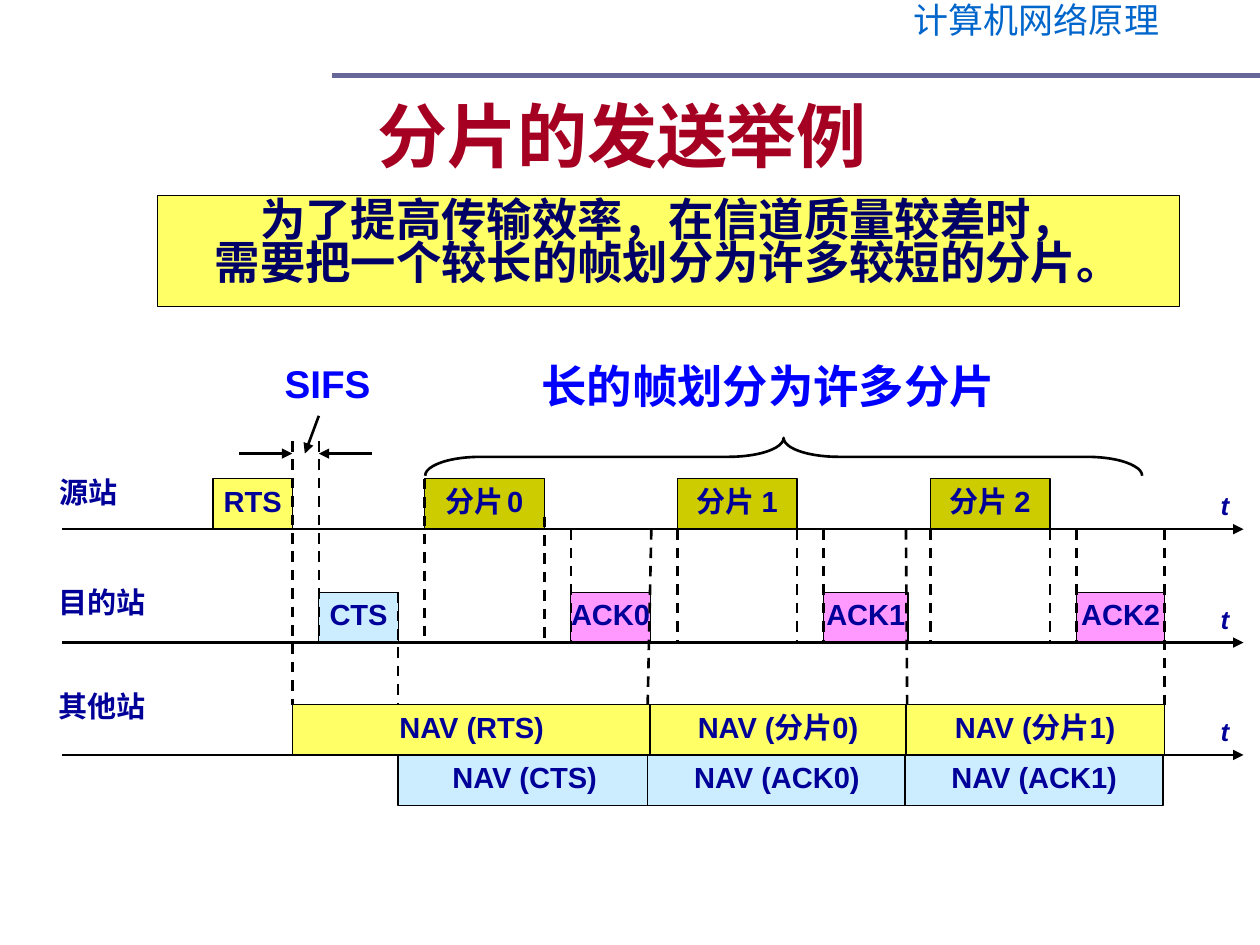
"""Build the slide on sending a long frame as fragments over a shared channel."""
from lxml import etree
from pptx import Presentation
from pptx.dml.color import RGBColor
from pptx.enum.dml import MSO_LINE
from pptx.enum.shapes import MSO_CONNECTOR, MSO_SHAPE
from pptx.enum.text import MSO_ANCHOR, MSO_AUTO_SIZE, PP_ALIGN
from pptx.oxml.ns import qn
from pptx.util import Pt

STRAIGHT = MSO_CONNECTOR.STRAIGHT
RECTANGLE, BRACE = MSO_SHAPE.RECTANGLE, MSO_SHAPE.RIGHT_BRACE
LEFT, CENTER = PP_ALIGN.LEFT, PP_ALIGN.CENTER
TOP, MIDDLE = MSO_ANCHOR.TOP, MSO_ANCHOR.MIDDLE
DASH = MSO_LINE.DASH

BLACK = RGBColor(0x00, 0x00, 0x00)
NAVY = RGBColor(0x00, 0x00, 0x99)
DEEP_NAVY = RGBColor(0x00, 0x00, 0x66)
BLUE = RGBColor(0x00, 0x00, 0xFF)
HEADER_BLUE = RGBColor(0x00, 0x66, 0xCC)
SLATE = RGBColor(0x66, 0x66, 0x99)
CRIMSON = RGBColor(0xA5, 0x00, 0x21)
YELLOW = RGBColor(0xFF, 0xFF, 0x66)
SKY = RGBColor(0xCC, 0xEC, 0xFF)
OLIVE = RGBColor(0xCC, 0xCC, 0x00)
PINK = RGBColor(0xFF, 0x99, 0xFF)

LATIN, CJK = "Arial", "Noto Sans CJK SC"
LABEL_SIZE = 16.6
BOX_HEIGHT = 28.8
SOURCE, DESTINATION, OTHERS = 302.4, 367.2, 431.4
NAV_TOP = OTHERS - BOX_HEIGHT
AXIS_START, AXIS_END = 35.3, 710.6
FRAGMENT_START, FRAGMENT_WIDTH, FRAGMENT_PITCH = 242.6, 68.4, 144.5
SIFS_GAP = 15.2

HEADER = "计算机网络原理"
TITLE = "分片的发送举例"
BANNER = ["为了提高传输效率，在信道质量较差时，", "需要把一个较长的帧划分为许多较短的分片。"]
STATIONS = [
    ("源站", 26.6, 271.4, 47.6, SOURCE),
    ("目的站", 25.9, 334.1, 64.8, DESTINATION),
    ("其他站", 25.9, 393.8, 64.8, OTHERS),
]
CAPTIONS = [
    ("SIFS", 155.5, 207.4, 63.4, 28.8, 22.1),
    ("长的帧划分为许多分片", 302.4, 207.4, 275, 32.4, 25.9),
]
HANDSHAKE = [
    ("RTS", 121.7, SOURCE, 45.4, YELLOW),
    ("CTS", 182.2, DESTINATION, 45.4, SKY),
]
FRAGMENTS = [
    ([("分片", LABEL_SIZE), (" ", 9.2), ("0", LABEL_SIZE)], "ACK0", 45.4),
    ([("分片 1", LABEL_SIZE)], "ACK1", 48.2),
    ([("分片 2", LABEL_SIZE)], "ACK2", 50.4),
]
RESERVATIONS = [
    ("NAV (RTS)", 167, 372, NAV_TOP, YELLOW),
    ("NAV (CTS)", 227.5, 372, OTHERS, SKY),
    ("NAV (分片0)", 371.5, 517.7, NAV_TOP, YELLOW),
    ("NAV (ACK0)", 370.1, 517.7, OTHERS, SKY),
    ("NAV (ACK1)", 517.2, 664.6, OTHERS, SKY),
    ("NAV (分片1)", 517.7, 665.3, NAV_TOP, YELLOW),
]
HANDSHAKE_GUIDES = [
    (167, 252, 167, 403),
    (182.2, 252, 182.2, DESTINATION),
    (227.5, 338.4, 227.5, 403),
]
ACK_END_GUIDES = [
    (372.2, SOURCE, 370.1, NAV_TOP),
    (517.7, SOURCE, 518.4, 409),
    (665.3, SOURCE, 665.3, NAV_TOP),
]
SIFS_ARROWS = [
    (136.8, 259.2, 167, 259.2),
    (212.4, 259.2, 182.2, 259.2),
    (182.2, 237.6, 174.2, 259.2),
]


def write(shape, paragraphs, color, align=CENTER, anchor=MIDDLE, bold=True,
          italic=False, wrap=False, spacing=0.8, latin=LATIN):
    frame = shape.text_frame
    frame.auto_size = MSO_AUTO_SIZE.NONE
    frame.word_wrap = wrap
    frame.vertical_anchor = anchor
    for index, runs in enumerate(paragraphs):
        paragraph = frame.add_paragraph() if index else frame.paragraphs[0]
        paragraph.alignment = align
        paragraph.line_spacing = spacing
        for text, size in runs:
            run = paragraph.add_run()
            run.text = text
            font = run.font
            font.name, font.size = latin, Pt(size)
            font.bold, font.italic = bold, italic
            font.color.rgb = color
            east_asian = etree.SubElement(run._r.get_or_add_rPr(), qn("a:ea"))
            east_asian.set("typeface", CJK)


def add_text(slide, text, left, top, width, height, size, color, **style):
    box = slide.shapes.add_textbox(Pt(left), Pt(top), Pt(width), Pt(height))
    write(box, [[(text, size)]], color, **{"anchor": TOP, **style})


def add_box(slide, left, top, width, height, fill, paragraphs, color=NAVY, **style):
    box = slide.shapes.add_shape(RECTANGLE, Pt(left), Pt(top), Pt(width), Pt(height))
    box.shadow.inherit = False
    box.fill.solid()
    box.fill.fore_color.rgb = fill
    box.line.color.rgb = BLACK
    box.line.width = Pt(0.75)
    write(box, paragraphs, color, **style)


def add_line(slide, points, color=BLACK, width=1.5, dashed=False, arrow=False):
    connector = slide.shapes.add_connector(STRAIGHT, *(Pt(p) for p in points))
    connector.line.color.rgb = color
    connector.line.width = Pt(width)
    if dashed:
        connector.line.dash_style = DASH
    if arrow:
        outline = connector.line._get_or_add_ln()
        etree.SubElement(outline, qn("a:tailEnd")).set("type", "triangle")
    etree.SubElement(connector._element.spPr, qn("a:effectLst"))


def add_brace(slide):
    brace = slide.shapes.add_shape(BRACE, Pt(437), Pt(56.2), Pt(21.6), Pt(409.7))
    brace.rotation = 270
    brace.adjustments[0], brace.adjustments[1] = 1.46, 0.5
    brace.shadow.inherit = False
    brace.fill.background()
    brace.line.color.rgb = BLACK
    brace.line.width = Pt(1.5)


def add_heading(slide):
    add_text(slide, HEADER, 484.6, 0, 215.3, 31.7, 20, HEADER_BLUE,
             bold=False, latin=CJK)
    add_line(slide, (190, 43.2, 720, 43.2), SLATE, 3)
    title = slide.shapes.title
    title.left, title.top, title.width, title.height = Pt(31.5), Pt(31.7), Pt(648), Pt(90)
    write(title, [[(TITLE, 40)]], CRIMSON, wrap=True, spacing=1)
    add_box(slide, 90, 111.6, 583.9, 63.4, YELLOW,
            [[(line, 25.9)] for line in BANNER], DEEP_NAVY, anchor=TOP, wrap=True)


def add_timeline(slide):
    for text, left, bottom, width, fill in HANDSHAKE:
        add_box(slide, left, bottom - BOX_HEIGHT, width, BOX_HEIGHT, fill,
                [[(text, LABEL_SIZE)]])
    guides = HANDSHAKE_GUIDES + ACK_END_GUIDES
    for index, (runs, ack, ack_width) in enumerate(FRAGMENTS):
        start = FRAGMENT_START + index * FRAGMENT_PITCH
        end = start + FRAGMENT_WIDTH
        ack_start = end + SIFS_GAP
        add_box(slide, start, SOURCE - BOX_HEIGHT, FRAGMENT_WIDTH, BOX_HEIGHT, OLIVE, [runs])
        add_box(slide, ack_start, DESTINATION - BOX_HEIGHT, ack_width, BOX_HEIGHT, PINK,
                [[(ack, LABEL_SIZE)]])
        tops = (SOURCE, SOURCE) if index else (SOURCE - BOX_HEIGHT, 295.2)
        guides += [(x, top, x, DESTINATION)
                   for x, top in zip((start, end, ack_start), (*tops, SOURCE))]
    for guide in guides:
        add_line(slide, guide, dashed=True)
    for text, left, right, top, fill in RESERVATIONS:
        add_box(slide, left, top, right - left, BOX_HEIGHT, fill, [[(text, LABEL_SIZE)]])
    for arrow in SIFS_ARROWS:
        add_line(slide, arrow, arrow=True)
    for station, left, top, width, axis in STATIONS:
        add_text(slide, station, left, top, width, 23, LABEL_SIZE, NAVY)
        add_text(slide, "t", 690.5, axis - 22.5, 19.4, 21.6, 14.8, NAVY,
                 align=LEFT, italic=True)
        add_line(slide, (AXIS_START, axis, AXIS_END, axis), arrow=True)
    for text, left, top, width, height, size in CAPTIONS:
        add_text(slide, text, left, top, width, height, size, BLUE, align=LEFT)
    add_brace(slide)


def main():
    deck = Presentation()
    deck.slide_width, deck.slide_height = Pt(720), Pt(540)
    slide = deck.slides.add_slide(deck.slide_layouts[5])
    add_heading(slide)
    add_timeline(slide)
    deck.save("out.pptx")


if __name__ == "__main__":
    main()
